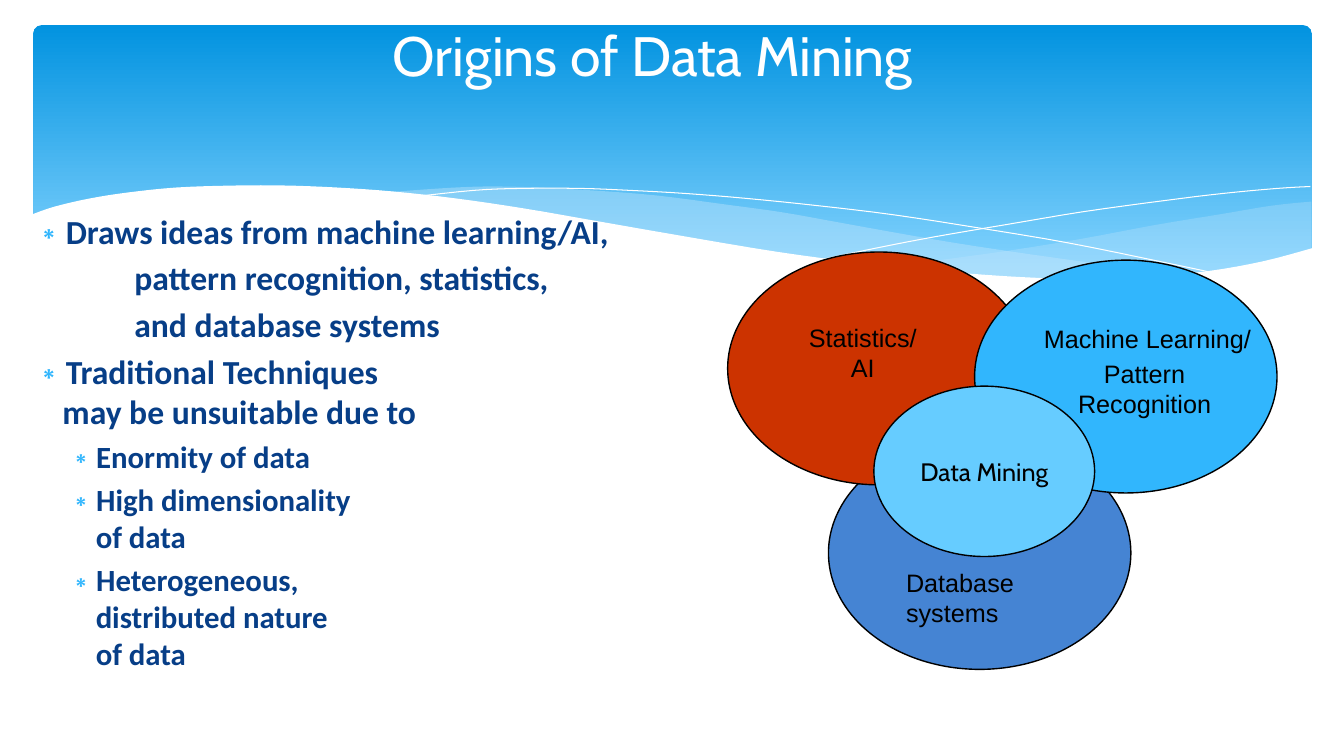
"""Build the slide 'Origins of Data Mining' with its overlapping fields diagram."""
from lxml import etree
from pptx import Presentation
from pptx.dml.color import RGBColor
from pptx.enum.shapes import MSO_SHAPE
from pptx.enum.text import MSO_ANCHOR, MSO_AUTO_SIZE, PP_ALIGN
from pptx.oxml.ns import qn
from pptx.util import Pt

OVAL, ROUNDED = MSO_SHAPE.OVAL, MSO_SHAPE.ROUNDED_RECTANGLE
LEFT, CENTER = PP_ALIGN.LEFT, PP_ALIGN.CENTER
TOP, MIDDLE = MSO_ANCHOR.TOP, MSO_ANCHOR.MIDDLE

TITLE = "Origins of Data Mining"
IDEAS = [
    ("point", "Draws ideas from machine learning/AI,"),
    ("continued", "pattern recognition, statistics,"),
    ("continued", "and database systems"),
    ("point", "Traditional Techniques\nmay be unsuitable due to"),
    ("reason", "Enormity of data"),
    ("reason", "High dimensionality\nof data"),
    ("reason", "Heterogeneous,\ndistributed nature\nof data"),
]
IDEA_STYLES = {
    "point": {"level": 0, "size": 24, "margin": 21.6, "indent": -21.6},
    "continued": {"level": 0, "size": 24, "margin": 73, "indent": 0},
    "reason": {"level": 1, "size": 22, "margin": 45.4, "indent": -21.6},
}
FIELD_SIZE = (216, 166.3)
FIELDS = [
    ((591.8, 311.8), "4584D3"),
    ((519.8, 180), "CC3300"),
    ((696.2, 185.8), "31B6FD"),
]
LABELS = [
    ((705.6, 227.5, 223.9, 75.6), 0, [("Machine Learning/", LEFT, 40), ("Pattern\nRecognition", CENTER, 0)]),
    ((544.3, 226.8, 144, 50.4), 7.2, [("Statistics/\nAI", CENTER, 0)]),
    ((640.1, 401.8, 151.9, 50.4), 7.2, [("Database systems", LEFT, 0)]),
]
MINING = ("Data Mining", (624.2, 275.8, 157.7, 121.7), "66CCFF")

FAINT_WAVE = [
    [(936.7, 144), (908, 147), (869.8, 153.4), (826, 160.6), (772.6, 170.6),
     (723.6, 178.6), (677.5, 185), (635, 190.8)],
    [(635, 190.8), (689.8, 195.1), (738, 198.7), (781.2, 200.2), (819.4, 199.4),
     (853.9, 195.8), (884.2, 190.8), (911.5, 185), (936.7, 177.8)],
]
LONG_WAVE = [
    [(275, 137.5), (314.6, 134.6), (347, 133.2), (383, 133.9), (424, 136.1),
     (469.4, 139.7), (519, 146.2), (560.2, 151.9), (604, 159.8), (677.5, 172.8),
     (744.5, 182.9), (803.5, 190.8), (856.8, 196.6)],
    [(856.8, 196.6), (814.3, 199.4), (774.7, 200.2), (730, 199.4), (680.4, 195.8),
     (624.2, 190.1), (560.9, 181.4), (508.3, 172.8), (431.3, 159.8), (388, 152),
     (347.8, 146.2), (310.3, 141), (275, 137.5)],
]
FALLING_THREAD = [
    [(296.6, 140.4), (338.4, 136), (371.5, 134.6), (415, 134.6), (450, 136),
     (489.6, 138.2), (534, 141.8), (584, 146.9), (638, 153.4), (698.4, 162.7),
     (763, 173.5), (833.8, 187.9), (871, 195.8)],
]
RISING_THREAD = [
    [(589, 185), (626.4, 177.1), (667.4, 169.2), (717.8, 160.6), (774, 151.2),
     (831.6, 143.3), (873.4, 138.2), (912.2, 134.6), (936, 133.2)],
]
WHITE_WAVE = [
    [(938, 177.1), (902.9, 186.5), (862.6, 193.7), (816.5, 198), (776, 199.4),
     (730.8, 198), (679.7, 194.4), (621.4, 188.6), (555.8, 180), (483, 167.8),
     (429, 158.4), (375, 149), (326, 141.8), (281, 136.8), (239.8, 133.9),
     (203, 132.5), (169, 132.5), (126.7, 133.9), (91.4, 137.5), (64, 141.8),
     (39, 147.6), (22.3, 153.4)],
    [(22.3, 236.9), (938, 236.9)],
]
WAVES = [
    (FAINT_WAVE, "C6E7FC", 29),
    (LONG_WAVE, "C6E7FC", 40),
    (FALLING_THREAD, None, 100),
    (RISING_THREAD, None, 100),
    (WHITE_WAVE, "FFFFFF", 100),
]


def color(value):
    return RGBColor.from_string(value)


def apply(target, **values):
    for name, value in values.items():
        setattr(target, name, value)


def place(shape, box):
    apply(shape, **dict(zip(("left", "top", "width", "height"), map(Pt, box))))


def set_font(paragraph, size, name, ink, bold=False):
    apply(paragraph.font, size=Pt(size), name=name, bold=bold)
    paragraph.font.color.rgb = color(ink)


def set_frame(frame, anchor, side=7.2, wrap=True):
    apply(frame, word_wrap=wrap, auto_size=MSO_AUTO_SIZE.NONE, vertical_anchor=anchor,
          margin_left=Pt(side), margin_right=Pt(side),
          margin_top=Pt(3.6), margin_bottom=Pt(3.6))


def paragraphs(frame, count):
    return [frame.paragraphs[0]] + [frame.add_paragraph() for _ in range(count - 1)]


def set_indent(paragraph, margin, indent=0):
    properties = paragraph._p.get_or_add_pPr()
    properties.set("marL", str(Pt(margin)))
    properties.set("indent", str(Pt(indent)))
    return properties


def smooth(anchors, steps=4):
    ends = [anchors[0], *anchors, anchors[-1]]
    curve = [anchors[0]]
    for a, b, c, d in zip(ends, ends[1:], ends[2:], ends[3:]):
        for step in range(1, steps + 1):
            t = step / steps
            curve.append(tuple(
                q + t * (r - p) / 2 + t * t * (2 * p - 5 * q + 4 * r - s) / 2
                + t ** 3 * (3 * q - p - 3 * r + s) / 2
                for p, q, r, s in zip(a, b, c, d)))
    return curve


def add_wave(shapes, curves, fill, opacity):
    outline = [(Pt(x), Pt(y)) for curve in curves for x, y in smooth(curve)]
    builder = shapes.build_freeform(*outline[0])
    builder.add_line_segments(outline[1:], close=fill is not None)
    wave = builder.convert_to_shape()
    wave.shadow.inherit = False
    if fill is None:
        wave.fill.background()
        wave.line.color.rgb = color("FFFFFF")
        wave.line.width = Pt(0)
        return
    wave.fill.solid()
    wave.fill.fore_color.rgb = color(fill)
    wave.line.fill.background()
    if opacity < 100:
        tint = wave._element.spPr.find(qn("a:solidFill"))[0]
        etree.SubElement(tint, qn("a:alpha")).set("val", str(opacity * 1000))


def add_banner(shapes):
    banner = shapes.add_shape(ROUNDED, *map(Pt, (23.8, 18, 913, 194.4)))
    banner.adjustments[0] = 0.03
    banner.shadow.inherit = False
    banner.line.fill.background()
    banner.fill.gradient()
    banner.fill.gradient_angle = 270
    stops = zip(banner.fill.gradient_stops, (0, 0.9), ("0293E0", "83D3FE"))
    for stop, position, shade in stops:
        stop.position = position
        stop.color.rgb = color(shade)


def add_oval(shapes, box, fill):
    oval = shapes.add_shape(OVAL, *map(Pt, box))
    oval.shadow.inherit = False
    oval.fill.solid()
    oval.fill.fore_color.rgb = color(fill)
    oval.line.color.rgb = color("000000")
    oval.line.width = Pt(1)
    return oval


def write_ideas(body):
    place(body, (15.8, 146.9, 928.1, 388.8))
    set_frame(body.text_frame, TOP)
    for index, (paragraph, (kind, words)) in enumerate(
            zip(paragraphs(body.text_frame, len(IDEAS)), IDEAS)):
        style = IDEA_STYLES[kind]
        apply(paragraph, text=words, level=style["level"], space_before=Pt(4.5 if index else 0))
        properties = set_indent(paragraph, style["margin"], style["indent"])
        if kind == "continued":
            etree.SubElement(properties, qn("a:buNone"))
        else:
            bullet_color = etree.SubElement(properties, qn("a:buClr"))
            etree.SubElement(bullet_color, qn("a:srgbClr")).set("val", "31B6FD")
            etree.SubElement(properties, qn("a:buChar")).set("char", "∗")
        set_font(paragraph, style["size"], "Calibri", "073E87", True)


def main():
    deck = Presentation()
    apply(deck, slide_width=Pt(960), slide_height=Pt(540))
    slide = deck.slides.add_slide(deck.slide_layouts[1])
    shapes = slide.shapes
    title, body = slide.placeholders

    add_banner(shapes)
    for wave in WAVES:
        add_wave(shapes, *wave)
    for holder in (title, body):
        shapes._spTree.append(holder._element)

    place(title, (31.7, 18, 869, 41.8))
    title.text_frame.text = TITLE
    set_frame(title.text_frame, MIDDLE, 0)
    title.text_frame.paragraphs[0].alignment = CENTER
    set_font(title.text_frame.paragraphs[0], 39.6, "Cabin", "FFFFFF")
    write_ideas(body)

    for corner, fill in FIELDS:
        add_oval(shapes, corner + FIELD_SIZE, fill)
    for box, side, lines in LABELS:
        frame = shapes.add_textbox(*map(Pt, box)).text_frame
        set_frame(frame, TOP, side)
        for index, (paragraph, (words, align, margin)) in enumerate(
                zip(paragraphs(frame, len(lines)), lines)):
            apply(paragraph, text=words, alignment=align, space_before=Pt(3 if index else 0))
            set_indent(paragraph, margin)
            set_font(paragraph, 18, "Arial", "000000")

    words, box, fill = MINING
    mining = add_oval(shapes, box, fill).text_frame
    set_frame(mining, MIDDLE, wrap=False)
    apply(mining.paragraphs[0], text=words, alignment=CENTER)
    set_font(mining.paragraphs[0], 18, "Cabin", "000000")
    deck.save("out.pptx")


if __name__ == "__main__":
    main()
